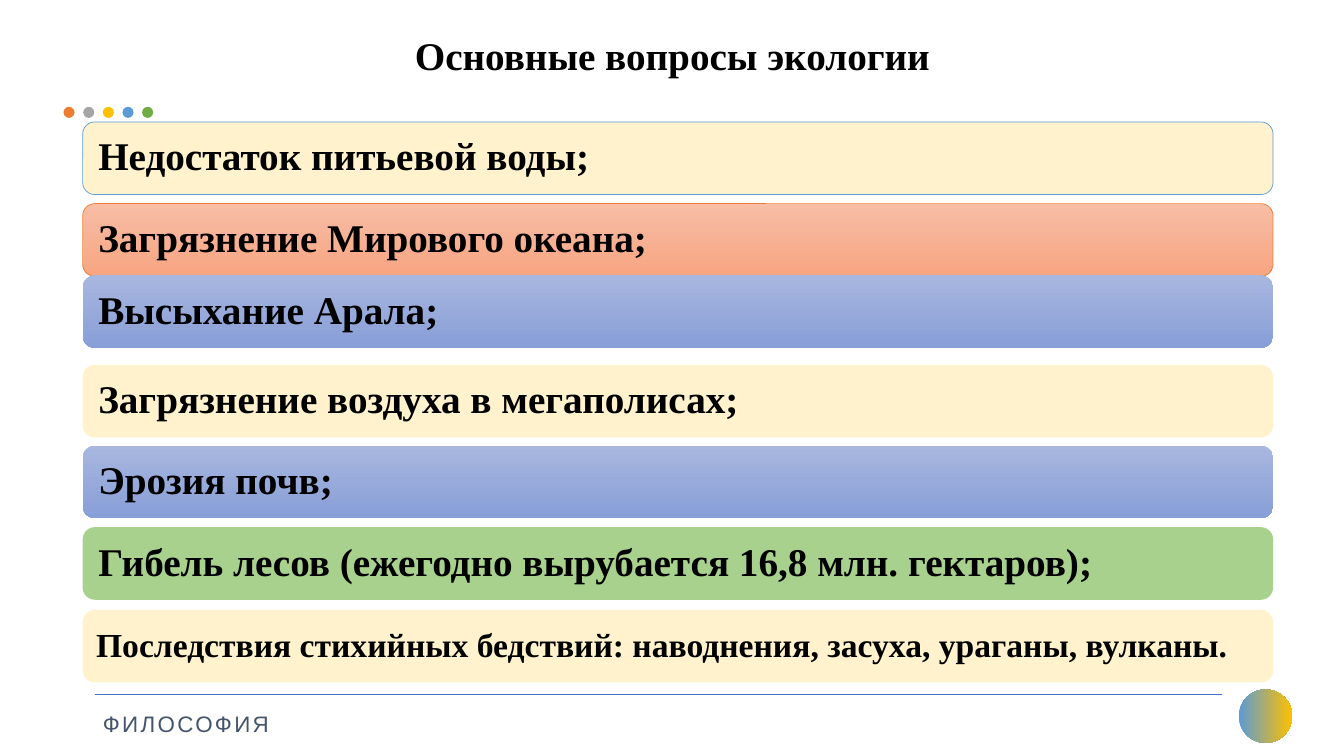
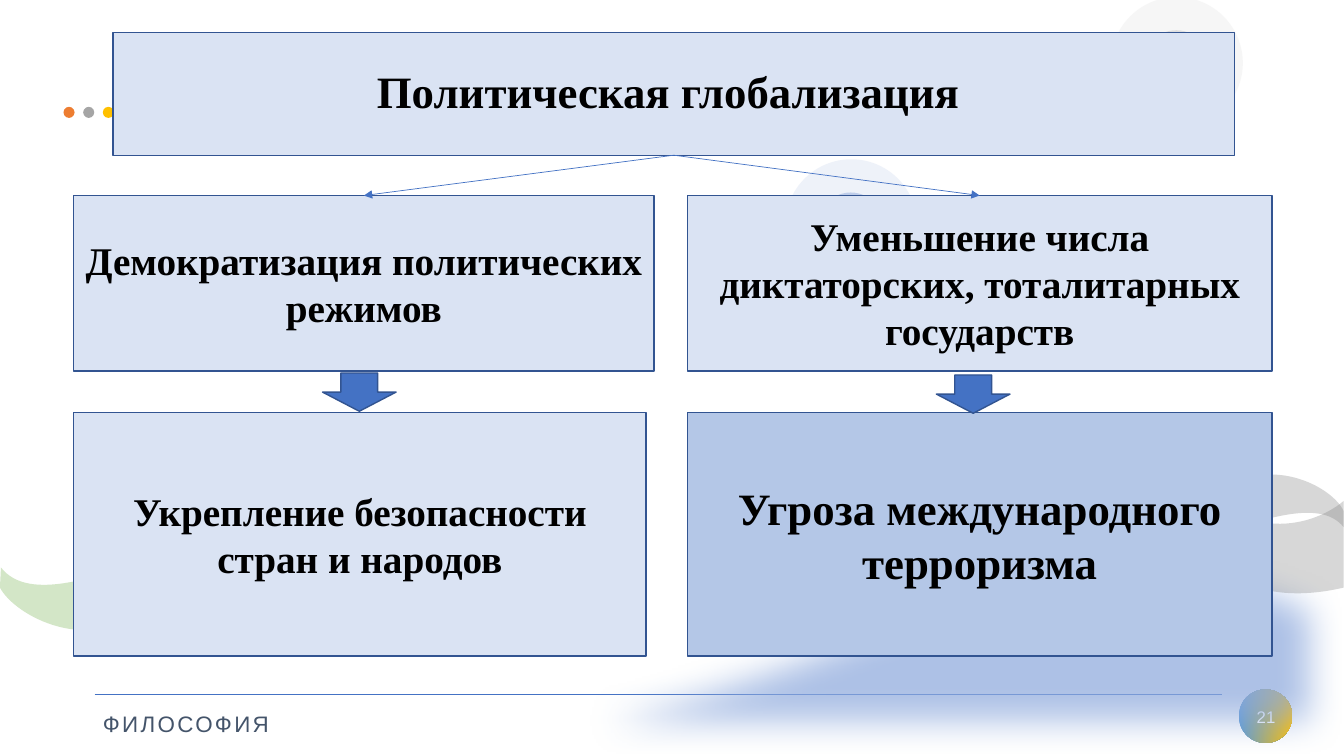
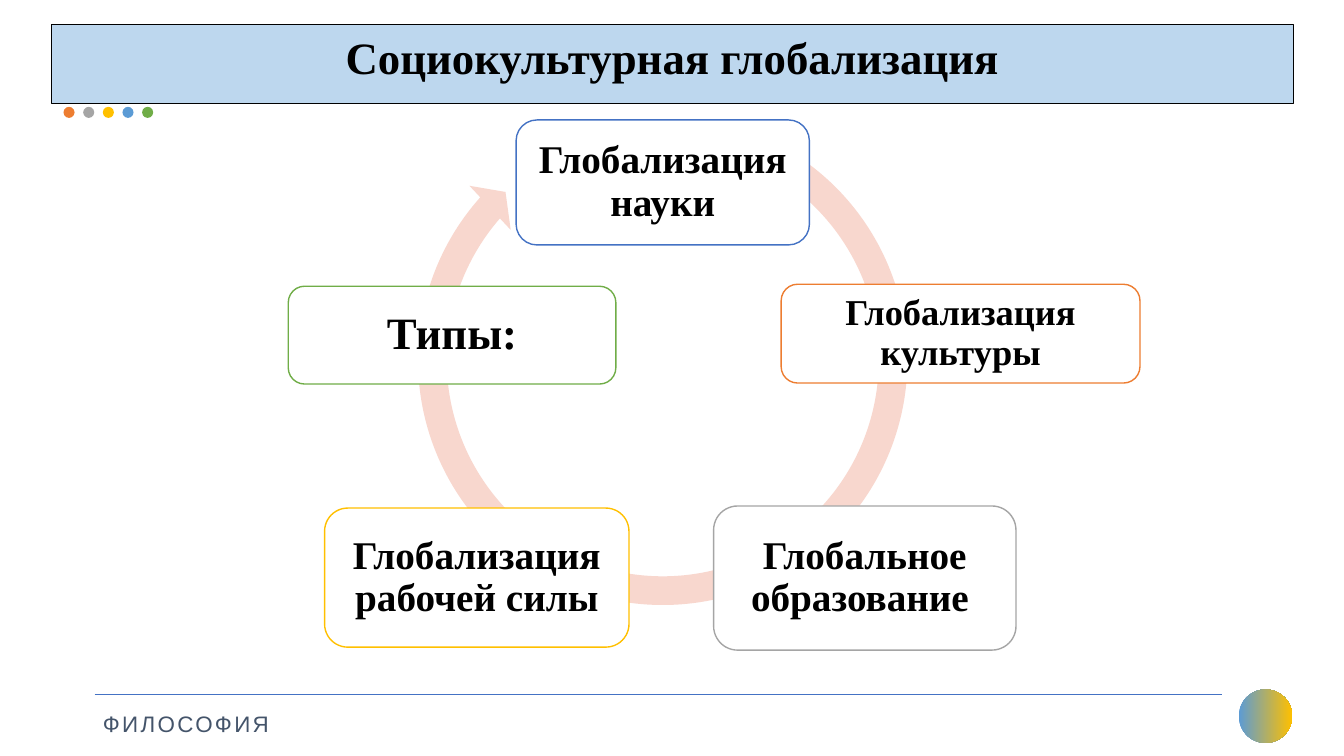
from dataclasses import dataclass

from lxml.etree import SubElement
from pptx import Presentation
from pptx.dml.color import RGBColor
from pptx.enum.shapes import MSO_CONNECTOR, MSO_SHAPE
from pptx.enum.text import MSO_ANCHOR, MSO_AUTO_SIZE, PP_ALIGN
from pptx.oxml import parse_xml
from pptx.oxml.ns import nsdecls, qn
from pptx.util import Inches, Pt


@dataclass(frozen=True)
class Theme:
    """Colours, fonts and type sizes of the deck."""
    serif: str = "Times New Roman"
    sans: str = "Arial"
    black: str = "000000"
    white: str = "FFFFFF"
    slate: str = "44546A"
    blue: str = "4472C4"
    navy: str = "325491"
    sky: str = "5B9BD5"
    orange: str = "ED7D31"
    grey: str = "A5A5A5"
    gold: str = "FFC000"
    green: str = "70AD47"
    cream: str = "FFF2CC"
    leaf: str = "A9D18E"
    pale: str = "DAE3F3"
    mid: str = "B4C7E7"
    band: str = "BDD7EE"
    haze: str = "8FAADC"
    smoke: str = "7C7C7C"
    mist: str = "C9C9C9"
    blush: str = "F8D7CE"
    coral: tuple = ("F7BDA5", "F8A582")
    lilac: tuple = ("A8B7DF", "889ED7")
    huge: int = 32
    large: int = 28
    medium: int = 26
    small: int = 24
    label: int = 16
    tiny: int = 12


T = Theme()


def tint(shape, fill, line=None, width=1, angle=270, alpha=None):
    """Give a shape a plain or gradient fill and an outline, without shadow."""
    if isinstance(fill, tuple):
        shape.fill.gradient()
        shape.fill.gradient_angle = angle
        for stop, color in zip(shape.fill.gradient_stops, fill):
            stop.color.rgb = RGBColor.from_string(color)
    else:
        shape.fill.solid()
        shape.fill.fore_color.rgb = RGBColor.from_string(fill)
    if alpha:
        color = next(shape.element.spPr.iter(qn("a:srgbClr")))
        color.append(parse_xml(f'<a:alpha {nsdecls("a")} val="{alpha * 1000}"/>'))
    if line:
        shape.line.color.rgb = RGBColor.from_string(line)
        shape.line.width = Pt(width)
    else:
        shape.line.fill.background()
    shape.shadow.inherit = False


def write(shape, text, size, color=T.black, font=T.serif, bold=True,
          align=PP_ALIGN.CENTER, anchor=MSO_ANCHOR.MIDDLE, space=None, inset=None):
    """Set the single paragraph of a shape."""
    frame = shape.text_frame
    frame.word_wrap = True
    frame.auto_size = MSO_AUTO_SIZE.NONE
    frame.vertical_anchor = anchor
    if inset is not None:
        frame.margin_left = frame.margin_right = Inches(inset)
        frame.margin_top = frame.margin_bottom = Inches(inset)
    frame.text = text
    para = frame.paragraphs[0]
    para.alignment = align
    if space:
        para.line_spacing = space
    para.font.name = font
    para.font.size = Pt(size)
    para.font.bold = bold
    para.font.color.rgb = RGBColor.from_string(color)


def draw(slide, kind, box, fill, **style):
    """Add a preset shape in a box given in inches."""
    shape = slide.shapes.add_shape(kind, *map(Inches, box))
    tint(shape, fill, **style)
    return shape


def join(slide, start, end, color=T.blue, width=0.5):
    """Add a thin straight line between two points in inches."""
    line = slide.shapes.add_connector(
        MSO_CONNECTOR.STRAIGHT, *map(Inches, start + end))
    line.line.color.rgb = RGBColor.from_string(color)
    line.line.width = Pt(width)
    line.element.spPr.append(parse_xml(f'<a:effectLst {nsdecls("a")}/>'))
    return line


def wave(slide, box, start, moves, color, alpha):
    """Add a translucent outline of lines and cubic curves that fills a box."""
    left, top, width, height = map(Inches, box)
    right, low = left + width, top + height
    pen = slide.shapes.build_freeform(left, top)
    pen.add_line_segments([(right, top), (right, low), (left, low)])
    shape = pen.convert_to_shape()
    route = next(shape.element.iter(qn("a:path")))
    for old in list(route):
        route.remove(old)
    for n, move in enumerate([start] + moves):
        tag = "a:moveTo" if n == 0 else "a:lnTo" if len(move) == 2 else "a:cubicBezTo"
        step = SubElement(route, qn(tag))
        for x, y in zip(move[::2], move[1::2]):
            SubElement(step, qn("a:pt"), x=str(Inches(x) - left),
                       y=str(Inches(y) - top))
    SubElement(route, qn("a:close"))
    tint(shape, color, alpha=alpha)
    return shape


def head(slide, box, text, size, anchor=MSO_ANCHOR.TOP):
    """Place and write the title."""
    title = slide.shapes.title
    title.left, title.top, title.width, title.height = map(Inches, box)
    write(title, text, size, anchor=anchor)
    return title


def frame(slide, layout):
    """Draw the shared parts and move them to the layout."""
    parts = [draw(slide, MSO_SHAPE.OVAL, (12.29, 6.84, 0.53, 0.53),
                  (T.sky, T.gold), angle=0),
             join(slide, (0.94, 6.89), (12.12, 6.89))]
    for n, color in enumerate((T.orange, T.grey, T.gold, T.sky, T.green)):
        parts.append(draw(slide, MSO_SHAPE.OVAL,
                          (0.63 + 0.195 * n, 1.06, 0.11, 0.11), color))
    foot = slide.shapes.add_textbox(*map(Inches, (0.98, 6.89, 1.78, 0.44)))
    write(foot, "ФИЛОСОФИЯ", T.label, T.slate, T.sans, False,
          PP_ALIGN.LEFT, space=1.5, inset=0.04)
    foot.text_frame.word_wrap = False
    next(foot.element.iter(qn("a:defRPr"))).set("spc", "170")
    for holder in list(layout.placeholders)[1:]:
        holder.element.getparent().remove(holder.element)
    tree = layout.shapes.element
    for part in parts + [foot]:
        tree.append(part.element)
    for n, item in enumerate(tree.iter(qn("p:cNvPr")), 1):
        item.set("id", str(n))


def stack(slide, box):
    """Draw the column of ecological problems."""
    left, top, width, height = box
    rows = (
        (0, "Недостаток питьевой воды;", T.cream, T.sky, T.large),
        (0.81, "Загрязнение Мирового океана;", T.coral, T.orange, T.large),
        (1.52, "Высыхание Арала;", T.lilac, None, T.large),
        (2.41, "Загрязнение воздуха в мегаполисах;", T.cream, None, T.large),
        (3.21, "Эрозия почв;", T.lilac, None, T.large),
        (4.02, "Гибель лесов (ежегодно вырубается 16,8 млн. гектаров);",
         T.leaf, None, T.large),
        (4.84, "Последствия стихийных бедствий: наводнения, засуха, ураганы, вулканы.",
         T.cream, None, T.small),
    )
    for drop, text, fill, line, size in rows:
        bar = draw(slide, MSO_SHAPE.ROUNDED_RECTANGLE,
                   (left, top + drop, width, height), fill, line=line, width=0.5)
        write(bar, text, size, align=PP_ALIGN.LEFT, space=0.9,
              inset=0.12 if size == T.large else 0.1)


def scene(slide):
    """Draw the waves and rings behind the scheme."""
    glow = wave(slide, (0, 5.34, 13.33, 2.16), (7.9, 6.1), [
        (4.16, 7.58, 1.22, 7.35, 0, 6.9), (0, 7.5), (13.33, 7.5), (13.33, 5.72),
        (13.11, 5.61, 12.47, 5.34, 11.39, 5.34),
        (10.52, 5.34, 9.36, 5.52, 7.9, 6.1)], T.haze, 73)
    glow.element.spPr.find(qn("a:effectLst")).append(
        parse_xml(f'<a:softEdge {nsdecls("a")} rad="{Pt(25)}"/>'))
    wave(slide, (0, 5.42, 2.83, 0.83), (1.69, 5.48), [
        (2.39, 5.25, 2.83, 5.8, 2.83, 5.8), (2.83, 5.8, 2.19, 5.44, 1.55, 5.99),
        (0.9, 6.54, 0.14, 6.1, 0, 5.83), (0.01, 5.63),
        (0.29, 5.99, 1, 5.71, 1.69, 5.48)], T.green, 30)
    rings(slide, (7.79, 1.58, 1.31), T.haze)
    wave(slide, (10.3, 4.22, 3.03, 1.67), (10.3, 4.22), [
        (10.3, 4.22, 11.01, 4.34, 11.59, 5.16),
        (12.18, 5.99, 12.89, 5.93, 13.33, 5.83), (13.33, 4.97),
        (13.33, 4.97, 12.78, 5.48, 11.99, 4.97),
        (11.2, 4.45, 11.08, 4.24, 10.3, 4.22)], T.smoke, 30)
    wave(slide, (10.93, 4.71, 2.4, 0.7), (11.89, 5.36), [
        (11.3, 5.56, 10.93, 5.1, 10.93, 5.1),
        (10.93, 5.1, 11.47, 5.4, 12.02, 4.93),
        (12.57, 4.47, 13.22, 4.83, 13.33, 5.07), (13.33, 5.23),
        (13.09, 4.93, 12.48, 5.17, 11.89, 5.36)], T.smoke, 30)
    rings(slide, (11.02, -0.03, 1.31), T.mist)


def rings(slide, box, color):
    """Draw a pale disc with a darker core."""
    left, top, side = box
    for gap, size, alpha in ((0, side, 15), (0.33, 0.64, 50)):
        draw(slide, MSO_SHAPE.OVAL, (left + gap, top + gap, size, size),
             color, alpha=alpha)


def chain(slide, title, box, low, texts, fill, size, arrow):
    """Draw a branch: two boxes, the arrow between and the line from the title."""
    left, top, width, height = box
    upper = draw(slide, MSO_SHAPE.RECTANGLE, box, T.pale, line=T.navy)
    write(upper, texts[0], T.large)
    lower = draw(slide, MSO_SHAPE.RECTANGLE, (left, top + 2.15, low, 2.42),
                 fill, line=T.navy)
    write(lower, texts[1], size)
    draw(slide, MSO_SHAPE.DOWN_ARROW,
         (left + 2.47, top + arrow, 0.73, 0.38), T.blue, line=T.navy)
    line = join(slide, (6.69, 1.54), (left + width / 2, top))
    line.begin_connect(title, 2)
    line.end_connect(upper, 0)
    line.element.spPr.find(qn("a:ln")).append(
        parse_xml(f'<a:tailEnd {nsdecls("a")} type="triangle"/>'))


def cycle(slide, box):
    """Draw the ring of kinds of globalisation."""
    left, top, side = box
    ring = draw(slide, MSO_SHAPE.CIRCULAR_ARROW, (left, top, side, side), T.blush)
    for n, value in enumerate((0.055, 3.307, 132.87, 176.912, 0.058)):
        ring.adjustments[n] = value
    nodes = (
        ((1.13, 0.2, 2.91, 1.24), "Глобализация науки", T.blue, T.large),
        ((3.76, 1.83, 3.56, 0.98), "Глобализация культуры", T.orange, T.medium),
        ((3.09, 4.03, 3, 1.43), "Глобальное образование ", T.grey, T.large),
        ((-0.77, 4.05, 3.02, 1.38), "Глобализация рабочей силы", T.gold, T.large),
        ((-1.13, 1.85, 3.25, 0.97), "Типы:", T.green, T.huge),
    )
    for (x, y, width, height), text, line, size in nodes:
        node = draw(slide, MSO_SHAPE.ROUNDED_RECTANGLE,
                    (left + x, top + y, width, height), T.white, line=line)
        write(node, text, size, space=0.9, inset=0.12)


def nature(slide):
    """Build the slide on ecology."""
    head(slide, (0.51, 0.26, 12.32, 0.6), "Основные вопросы экологии", T.large)
    stack(slide, (0.82, 1.21, 11.81, 0.72))


def power(slide):
    """Build the slide on political globalisation."""
    number = slide.shapes.add_textbox(*map(Inches, (12.25, 6.91, 0.62, 0.4)))
    write(number, "21", T.tiny, T.white, T.sans, False)
    scene(slide)
    title = head(slide, (1.12, 0.32, 11.13, 1.22), "Политическая глобализация ",
                 T.huge, MSO_ANCHOR.MIDDLE)
    title.text_frame.margin_bottom = Inches(0.12)
    tint(title, T.pale, line=T.navy)
    slide.shapes.element.append(title.element)
    chain(slide, title, (6.82, 1.94, 5.8, 1.74), 5.8,
          ("Уменьшение числа диктаторских, тоталитарных государств",
           "Угроза международного терроризма"), T.mid, T.huge, 1.78)
    chain(slide, title, (0.73, 1.94, 5.76, 1.74), 5.68,
          ("Демократизация политических режимов",
           "Укрепление безопасности стран и народов"), T.pale, T.large, 1.76)


def culture(slide):
    """Build the slide on cultural globalisation."""
    title = head(slide, (0.51, 0.24, 12.32, 0.79),
                 "Социокультурная глобализация", T.huge)
    tint(title, T.band, line=T.black, width=0.75)
    cycle(slide, (3.99, 0.99, 5.17))


def main():
    """Build and save the deck."""
    deck = Presentation()
    deck.slide_width, deck.slide_height = Inches(40 / 3), Inches(7.5)
    layout = deck.slide_layouts[5]
    slides = [deck.slides.add_slide(layout) for _ in range(3)]
    frame(slides[0], layout)
    for build, slide in zip((nature, power, culture), slides):
        build(slide)
    deck.save("out.pptx")


if __name__ == "__main__":
    main()
